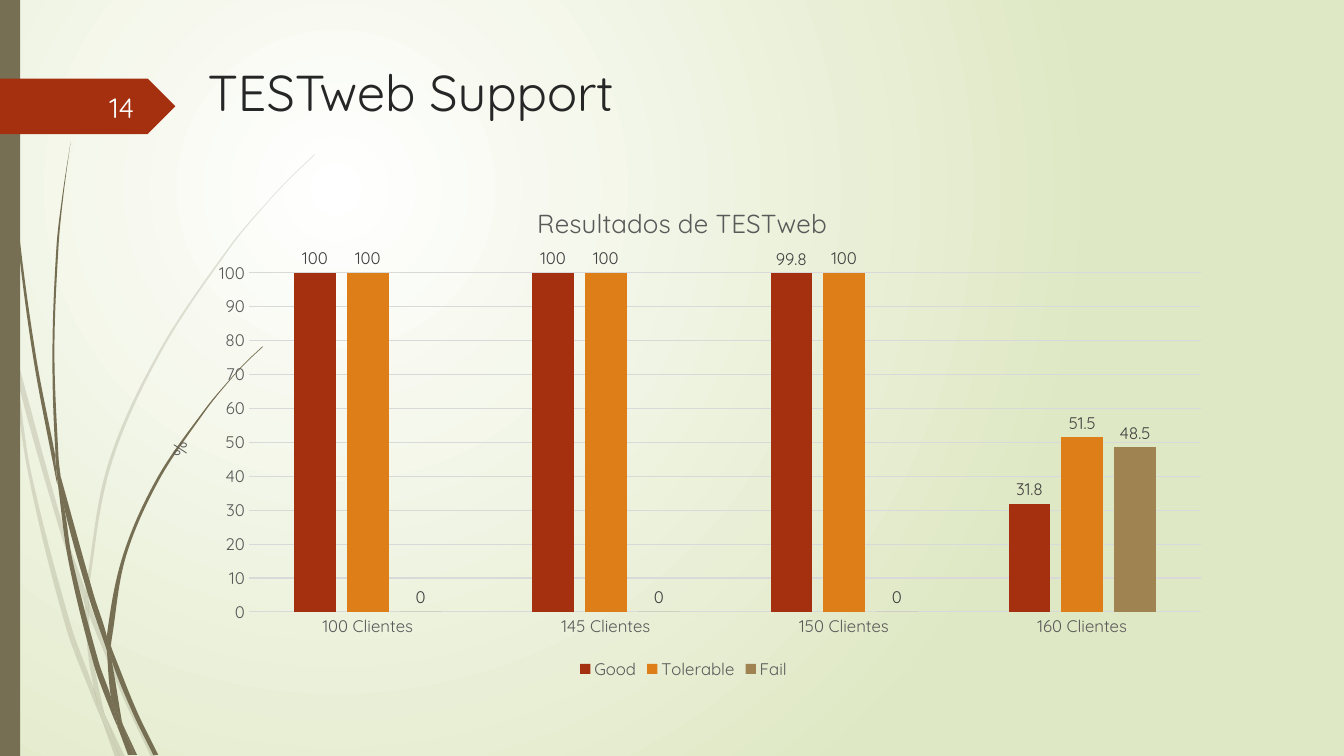
from typing import NamedTuple

from lxml import etree
from pptx import Presentation
from pptx import util as u
from pptx.chart import data as chart_data
from pptx.dml import color as dml_color
from pptx.enum import chart as chart_enum
from pptx.enum import shapes, text
from pptx.oxml import ns

FONT = "Quicksand"
COLORS = {
    "white": "FFFFFF", "pale green": "DFE8C4", "olive": "766F54", "rust": "A53010",
    "orange": "DE7E18", "tan": "9F8351", "number": "FEFFFF", "title": "262626",
    "axis text": "595959", "value text": "404040", "rule": "D9D9D9",
}
COLUMNS, ROWS = 1333, 750
CELL = u.Inches(13.33) // COLUMNS
Points = list[tuple[float, float]]


class Box(NamedTuple):
    column: int
    row: int
    columns: int
    rows: int

    def lengths(self) -> list[int]:
        return [n * CELL for n in self]


class Blade(NamedTuple):
    left: Points
    right: Points


class Label(NamedTuple):
    wording: str
    box: Box
    size: int
    color: str
    align: text.PP_ALIGN
    anchor: text.MSO_ANCHOR


class Series(NamedTuple):
    name: str
    values: tuple[float, ...]
    color: str


PALE_BLADES = [
    Blade([(0, 299), (10, 344), (11, 350)], [(0, 282), (9, 322), (11, 350)]),
    Blade([(14, 345), (17, 376), (58, 522), (84, 599)], [(14, 345), (62, 520), (85, 586)]),
    Blade([(88, 610), (123, 694), (150, 751)], [(88, 596), (92, 607), (127, 692), (155, 751)]),
    Blade([(105, 711), (119, 751)], [(105, 711), (124, 751)]),
    Blade([(11, 350), (28, 470), (65, 621), (92, 693), (101, 714)],
          [(11, 350), (17, 376), (31, 469), (70, 619), (93, 683), (99, 707), (101, 714)]),
    Blade([(84, 599), (87, 646), (93, 683), (96, 692), (105, 711)],
          [(84, 599), (88, 608), (88, 610), (91, 646), (103, 706), (105, 711)]),
    Blade([(312, 153), (289, 175), (268, 197), (228, 244), (158, 348), (107, 461), (85, 584),
           (85, 586), (88, 596)],
          [(312, 154), (290, 175), (268, 198), (229, 245), (160, 349), (110, 462), (88, 584),
           (88, 596)]),
    Blade([(101, 714), (114, 751)], [(101, 714), (119, 751)]),
    Blade([(85, 586), (84, 599), (88, 608), (88, 610)], [(85, 586), (88, 596), (88, 610)]),
    Blade([(93, 683), (99, 707), (101, 714), (119, 751)],
          [(93, 683), (96, 692), (105, 711), (119, 751)]),
]
DARK_BLADES = [
    Blade([(3, 0), (4, 48), (7, 110), (17, 233), (33, 355), (56, 477), (57, 481)],
          [(4, 0), (5, 48), (8, 109), (19, 232), (36, 355), (55, 453), (55, 457), (57, 481)]),
    Blade([(60, 472), (64, 505), (88, 592), (106, 645)],
          [(60, 472), (93, 590), (106, 631), (106, 645)]),
    Blade([(110, 641), (111, 656), (132, 708), (152, 749)],
          [(110, 641), (113, 649), (136, 706), (157, 749)]),
    Blade([(57, 477), (68, 557), (93, 659), (111, 708), (117, 722)],
          [(57, 477), (64, 505), (72, 556), (98, 657), (110, 691), (116, 717), (117, 722)]),
    Blade([(70, 141), (62, 193), (56, 245), (52, 349), (55, 449), (60, 472)],
          [(70, 141), (63, 193), (58, 245), (54, 349), (58, 453), (60, 472)]),
    Blade([(122, 719), (133, 749)], [(122, 719), (136, 749)]),
    Blade([(55, 449), (55, 453), (57, 477), (64, 505)], [(55, 449), (60, 472), (64, 505)]),
    Blade([(260, 344), (245, 358), (231, 373), (204, 405), (156, 474), (122, 551), (106, 631),
           (110, 641)],
          [(261, 344), (245, 359), (231, 374), (205, 406), (158, 476), (125, 552), (111, 633),
           (110, 641)]),
    Blade([(117, 722), (127, 749)], [(117, 722), (131, 749)]),
    Blade([(106, 645), (110, 691), (116, 706), (122, 719)],
          [(106, 645), (109, 651), (111, 656), (121, 716), (122, 719)]),
    Blade([(106, 631), (106, 645), (109, 651), (111, 656)], [(106, 631), (110, 641), (111, 656)]),
    Blade([(110, 691), (116, 717), (117, 722), (130, 749)],
          [(110, 691), (116, 706), (122, 719), (133, 749)]),
]
LABELS = [
    Label("14", Box(58, 86, 85, 40), 20, "number", text.PP_ALIGN.RIGHT, text.MSO_ANCHOR.MIDDLE),
    Label("TESTweb Support", Box(196, 56, 975, 140), 36, "title",
          text.PP_ALIGN.LEFT, text.MSO_ANCHOR.TOP),
]
RESULTS = [
    Series("Good", (100, 100, 99.8, 31.8), "rust"),
    Series("Tolerable", (100, 100, 100, 51.5), "orange"),
    Series("Fail", (0, 0, 0, 48.5), "tan"),
]


def set_fill(target, name: str, opacity: int = 100) -> None:
    target.fill.solid()
    target.fill.fore_color.rgb = dml_color.RGBColor.from_string(COLORS[name])
    if opacity < 100:
        fill_color = target.element.spPr.find(ns.qn("a:solidFill"))[0]
        etree.SubElement(fill_color, ns.qn("a:alpha"), val=str(opacity * 1000))


def set_font(font, size: float, name: str) -> None:
    font.name, font.size, font.bold = FONT, u.Pt(size), False
    set_fill(font, name)


def set_rule(line) -> None:
    set_fill(line, "rule")
    line.width = u.Pt(0.75)


def finish(shape, name: str, opacity: int = 100) -> None:
    shape.shadow.inherit = False
    set_fill(shape, name, opacity)
    shape.line.fill.background()


def draw_background(slide) -> None:
    fill = slide.background.fill
    fill.gradient()
    for stop, name in zip(fill.gradient_stops, ("white", "pale green")):
        stop.color.rgb = dml_color.RGBColor.from_string(COLORS[name])
    gradient = slide.element.find(".//" + ns.qn("a:gradFill"))
    gradient.remove(gradient.find(ns.qn("a:lin")))
    circle = etree.SubElement(gradient, ns.qn("a:path"), path="circle")
    etree.SubElement(circle, ns.qn("a:fillToRect"), l="50000", t="50000", r="100000", b="100000")


def curve(edge: Points) -> Points:
    neighbours = zip(edge[:1] + edge[:-1], edge[1:] + edge[-1:])
    slopes = [(x1 - x0) / (y1 - y0) for (x0, y0), (x1, y1) in neighbours]
    points = edge[:1]
    for (x0, y0), (x1, y1), start, end in zip(edge, edge[1:], slopes, slopes[1:]):
        third = (y1 - y0) / 3
        points = points + [(x0 + third * start, y0 + third), (x1 - third * end, y1 - third), (x1, y1)]
    return points


def draw_blade(slide, blade: Blade, opacity: int) -> None:
    left, right = curve(blade.left), curve(blade.right)[::-1]
    outline = [(round(x * CELL), round(y * CELL)) for x, y in left + right]
    builder = slide.shapes.build_freeform(*outline[0])
    builder.add_line_segments(outline[1:])
    shape = builder.convert_to_shape()
    finish(shape, "olive", opacity)
    segments = list(shape.element.iter(ns.qn("a:lnTo")))
    bends = segments[:len(left) - 1] + segments[len(left):]
    for first, second, third in zip(bends[::3], bends[1::3], bends[2::3]):
        bezier = etree.Element(ns.qn("a:cubicBezTo"))
        first.addprevious(bezier)
        for segment in (first, second, third):
            bezier.append(segment[0])
            segment.getparent().remove(segment)


def write(frame, wording: str, size: float, color: str):
    paragraph = frame.paragraphs[0]
    paragraph.text = wording
    set_font(paragraph.font, size, color)
    return paragraph


def set_layout(owner, index: int, **shares: float) -> None:
    for old in owner.findall(ns.qn("c:layout")):
        owner.remove(old)
    layout = etree.Element(ns.qn("c:layout"))
    owner.insert(index, layout)
    manual = etree.SubElement(layout, ns.qn("c:manualLayout"))
    modes = {"xMode": "edge", "yMode": "edge"}
    target = {"layoutTarget": "inner"} if "w" in shares else {}
    for tag, value in (target | modes | shares).items():
        etree.SubElement(manual, ns.qn("c:" + tag), val=str(value))


def draw_results(slide, box: Box) -> None:
    results = chart_data.CategoryChartData()
    results.categories = [f"{count} Clientes" for count in (100, 145, 150, 160)]
    for series in RESULTS:
        results.add_series(series.name, series.values)
    kind = chart_enum.XL_CHART_TYPE.COLUMN_CLUSTERED
    chart = slide.shapes.add_chart(kind, *box.lengths(), results).chart
    write(chart.chart_title.text_frame, "Resultados de TESTweb", 18.6, "axis text")
    set_layout(chart.chart_title.element, 1, x=0.36, y=0.01)
    set_layout(chart.element.find(".//" + ns.qn("c:plotArea")), 0, x=0.097, y=0.16, w=0.883, h=0.694)
    chart.has_legend = True
    chart.legend.position = chart_enum.XL_LEGEND_POSITION.BOTTOM
    chart.legend.include_in_layout = False
    set_font(chart.legend.font, 12, "axis text")
    clients, percent = chart.category_axis, chart.value_axis
    for axis in (clients, percent):
        axis.major_tick_mark = axis.minor_tick_mark = chart_enum.XL_TICK_MARK.NONE
        set_font(axis.tick_labels.font, 12, "axis text")
    set_rule(clients.format.line)
    percent.format.line.fill.background()
    percent.minimum_scale, percent.maximum_scale, percent.major_unit = 0, 100, 10
    set_rule(percent.major_gridlines.format.line)
    write(percent.axis_title.text_frame, "%", 13.3, "axis text")
    plot = chart.plots[0]
    plot.gap_width, plot.overlap, plot.vary_by_categories = 219, -27, False
    for bars, series in zip(plot.series, RESULTS):
        set_fill(bars.format, series.color)
        bars.data_labels.show_value = True
        bars.data_labels.position = chart_enum.XL_LABEL_POSITION.OUTSIDE_END
        set_font(bars.data_labels.font, 12, "value text")


presentation = Presentation()
presentation.slide_width, presentation.slide_height = COLUMNS * CELL, ROWS * CELL
slide = presentation.slides.add_slide(presentation.slide_layouts[6])
draw_background(slide)
for blades, opacity in ((PALE_BLADES, 20), (DARK_BLADES, 100)):
    for blade in blades:
        draw_blade(slide, blade, opacity)
for kind, box, name in (
    (shapes.MSO_SHAPE.RECTANGLE, Box(0, 0, 20, ROWS), "olive"),
    (shapes.MSO_SHAPE.PENTAGON, Box(0, 78, 174, 55), "rust"),
):
    finish(slide.shapes.add_shape(kind, *box.lengths()), name)
draw_results(slide, Box(143, 193, 1070, 485))
for label in LABELS:
    frame = slide.shapes.add_textbox(*label.box.lengths()).text_frame
    frame.word_wrap, frame.vertical_anchor = True, label.anchor
    write(frame, label.wording, label.size, label.color).alignment = label.align
presentation.save("out.pptx")
